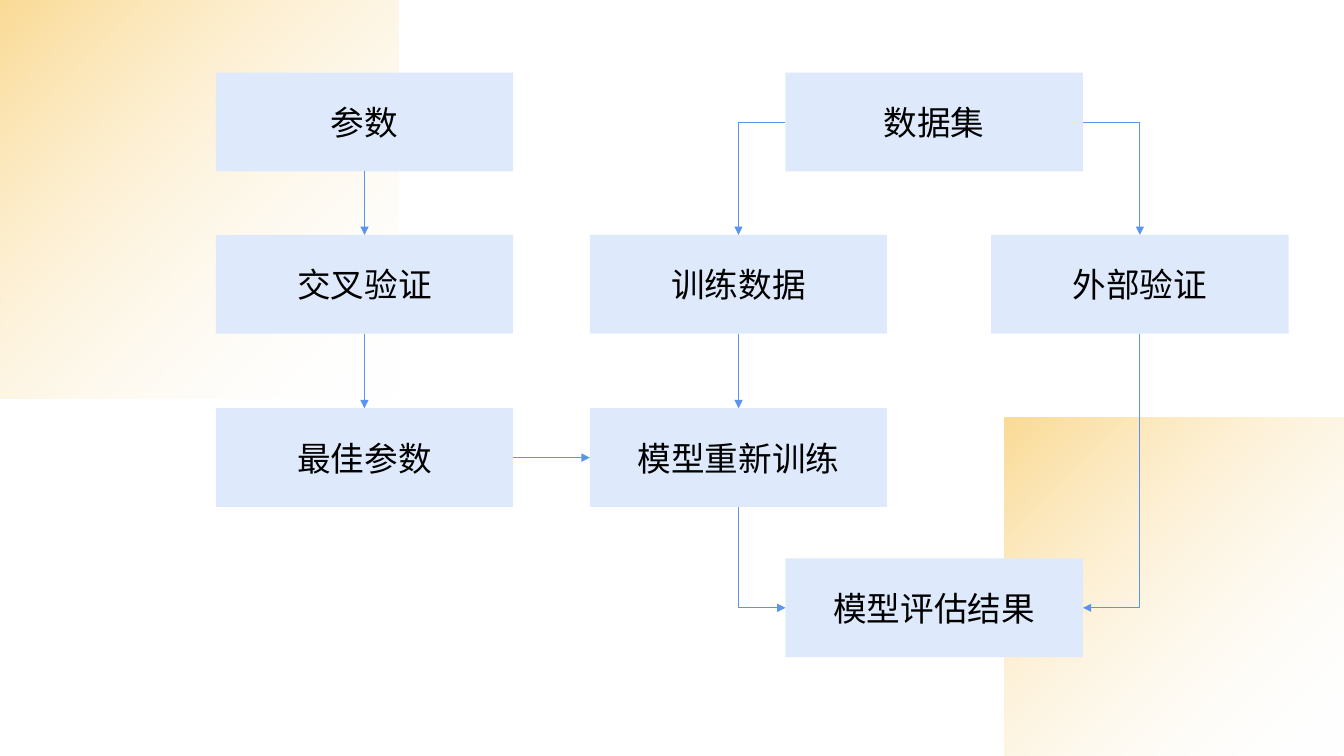
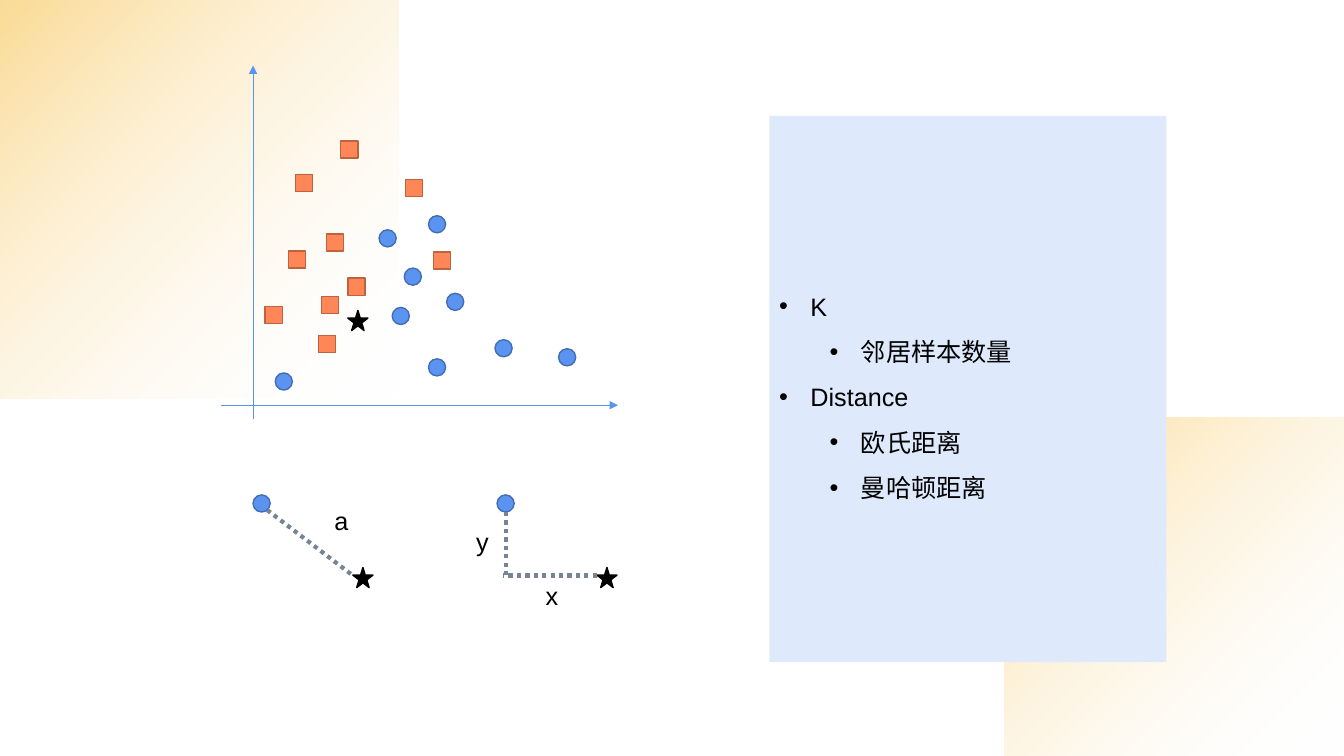
from typing import NamedTuple

from lxml import etree
from pptx import Presentation
from pptx import util as u
from pptx.dml.color import RGBColor
from pptx.enum import dml, shapes, text
from pptx.oxml import ns, parse_xml

LATIN, CJK = "Arial", "Noto Sans CJK SC"
BLACK, WHITE, GOLD = "000000", "FFFFFF", "F7B629"
BLUE, PALE_BLUE, DARK_BLUE = "5A94F0", "DEEAFC", "436DB2"
ORANGE, DARK_ORANGE, GREY = "FF8657", "BD6340", "778495"
TOP, LEFT, BOTTOM, RIGHT = range(4)
SHAPE = shapes.MSO_SHAPE


class Box(NamedTuple):
    label: str
    left: float
    top: float


class Link(NamedTuple):
    source: str
    source_side: int
    target: str
    target_side: int


class Marker(NamedTuple):
    kind: SHAPE
    size: float
    fill: str
    line: str


class Label(NamedTuple):
    letter: str
    left: float
    top: float


class Bullet(NamedTuple):
    words: str
    level: int


BOX_WIDTH, BOX_HEIGHT = 2.95, 0.98
ROWS = (0.72, 2.33, 4.05, 5.54)
BOXES = (
    Box("参数", 2.14, ROWS[0]),
    Box("交叉验证", 2.14, ROWS[1]),
    Box("模型评估结果", 7.79, ROWS[3]),
    Box("最佳参数", 2.14, ROWS[2]),
    Box("模型重新训练", 5.85, ROWS[2]),
    Box("训练数据", 5.85, ROWS[1]),
    Box("数据集", 7.79, ROWS[0]),
    Box("外部验证", 9.83, ROWS[1]),
)
LINKS = (
    Link("参数", BOTTOM, "交叉验证", TOP),
    Link("交叉验证", BOTTOM, "最佳参数", TOP),
    Link("最佳参数", RIGHT, "模型重新训练", LEFT),
    Link("训练数据", BOTTOM, "模型重新训练", TOP),
    Link("数据集", LEFT, "训练数据", TOP),
    Link("数据集", RIGHT, "外部验证", TOP),
    Link("模型重新训练", BOTTOM, "模型评估结果", LEFT),
    Link("外部验证", BOTTOM, "模型评估结果", RIGHT),
)

CIRCLE = Marker(SHAPE.OVAL, 0.17, BLUE, DARK_BLUE)
SQUARE = Marker(SHAPE.RECTANGLE, 0.17, ORANGE, DARK_ORANGE)
STAR = Marker(SHAPE.STAR_5_POINT, 0.2, BLACK, BLACK)
SCATTER = {
    STAR: ((3.45, 3.08),),
    CIRCLE: ((3.89, 3.05), (4.43, 2.91), (4.25, 3.56), (2.73, 3.7), (5.54, 3.46),
             (3.76, 2.28), (4.91, 3.37), (4.01, 2.66), (4.25, 2.14)),
    SQUARE: ((3.16, 3.33), (3.45, 2.76), (4.3, 2.5), (2.86, 2.49), (2.63, 3.04),
             (2.93, 1.73), (3.19, 2.94), (4.02, 1.78), (3.24, 2.32), (3.38, 1.4)),
}
AXES = ((2.19, 4.02, 6.13, 4.02), (2.51, 4.16, 2.51, 0.65))
DISTANCES = {
    2.51: ((2.65, 5.06, 3.5, 5.71),),
    4.93: ((5.02, 5.08, 5.02, 5.71), (5.92, 5.71, 4.99, 5.71)),
}
LABELS = (Label("a", 3.19, 4.97), Label("x", 5.28, 5.71), Label("y", 4.59, 5.18))
BULLETS = (
    Bullet("K", 0),
    Bullet("邻居样本数量", 1),
    Bullet("Distance", 0),
    Bullet("欧氏距离", 1),
    Bullet("曼哈顿距离", 1),
)


def rgb(value: str) -> RGBColor:
    return RGBColor.from_string(value)


def add_shape(container, kind: SHAPE, left: float, top: float, width: float,
              height: float, fill: str, line: str | None = None):
    shape = container.add_shape(kind, *map(u.Inches, (left, top, width, height)))
    shape.shadow.inherit = False
    shape.fill.solid()
    shape.fill.fore_color.rgb = rgb(fill)
    if line:
        shape.line.color.rgb = rgb(line)
        shape.line.width = u.Pt(1)
    else:
        shape.line.fill.background()
    return shape


def add_marker(container, marker: Marker, left: float, top: float) -> None:
    add_shape(container, marker.kind, left, top, marker.size, marker.size,
              marker.fill, marker.line)


def style_paragraph(paragraph, size: int, font: str,
                    alignment=text.PP_ALIGN.CENTER) -> None:
    """Set one black font on the paragraph, with the CJK face for East Asian text."""
    paragraph.alignment = alignment
    paragraph.font.size = u.Pt(size)
    paragraph.font.color.rgb = rgb(BLACK)
    paragraph.font.name = font
    properties = paragraph._p.pPr.find(ns.qn("a:defRPr"))
    etree.SubElement(properties, ns.qn("a:ea"), typeface=CJK)


def style_line(connector, color: str, width: float) -> None:
    connector.line.color.rgb = rgb(color)
    connector.line.width = u.Pt(width)
    etree.SubElement(connector.element.spPr, ns.qn("a:effectLst"))


def style_arrow(connector) -> None:
    style_line(connector, BLUE, 0.5)
    line = connector.element.spPr.find(ns.qn("a:ln"))
    etree.SubElement(line, ns.qn("a:tailEnd"), type="triangle")


def add_line(container, ends: tuple[float, ...]):
    return container.add_connector(shapes.MSO_CONNECTOR.STRAIGHT, *map(u.Inches, ends))


def make_corner(connector, vertical_first: bool) -> None:
    """Give an elbow one corner; one that starts downwards is turned on its centre."""
    properties = connector.element.spPr
    properties.find(ns.qn("a:prstGeom")).set("prst", "bentConnector2")
    if not vertical_first:
        return
    goes_right = connector.end_x > connector.begin_x
    width, height = connector.width, connector.height
    connector.left += (width - height) // 2
    connector.top += (height - width) // 2
    connector.width, connector.height = height, width
    transform = properties.find(ns.qn("a:xfrm"))
    transform.set("rot", str((270 if goes_right else 90) * 60000))
    transform.set("flipH", "1" if goes_right else "0")


def add_link(slide, link: Link, boxes: dict) -> None:
    bent = (link.source_side + link.target_side) % 2 == 1
    kind = shapes.MSO_CONNECTOR.ELBOW if bent else shapes.MSO_CONNECTOR.STRAIGHT
    connector = slide.shapes.add_connector(kind, 0, 0, 0, 0)
    connector.begin_connect(boxes[link.source], link.source_side)
    connector.end_connect(boxes[link.target], link.target_side)
    if bent:
        make_corner(connector, link.source_side == BOTTOM)
    style_arrow(connector)


def add_corner_glows(presentation, slide) -> None:
    """Put the two fading squares on the master, behind everything else."""
    tree = presentation.slide_master.shapes.element
    for index, (left, top, size) in enumerate(((0, 0, 3.95), (9.96, 4.14, 3.37))):
        glow = add_shape(slide.shapes, SHAPE.RECTANGLE, left, top, size, size, GOLD)
        properties = glow.element.spPr
        gradient = parse_xml(
            f'<a:gradFill {ns.nsdecls("a")} rotWithShape="0"><a:gsLst>'
            f'<a:gs pos="0"><a:srgbClr val="{GOLD}"><a:alpha val="50000"/></a:srgbClr></a:gs>'
            f'<a:gs pos="100000"><a:srgbClr val="{WHITE}"><a:alpha val="0"/></a:srgbClr></a:gs>'
            '</a:gsLst><a:path path="circle"><a:fillToRect r="100000" b="100000"/></a:path>'
            '<a:tileRect l="-100000" t="-100000"/></a:gradFill>')
        properties.replace(properties.find(ns.qn("a:solidFill")), gradient)
        glow.element.nvSpPr.cNvPr.set("id", str(101 + index))
        tree.insert(2 + index, glow.element)


def build_workflow(slide) -> None:
    boxes = {}
    for box in BOXES:
        shape = add_shape(slide.shapes, SHAPE.RECTANGLE, box.left, box.top,
                          BOX_WIDTH, BOX_HEIGHT, PALE_BLUE)
        shape.text_frame.text = box.label
        style_paragraph(shape.text_frame.paragraphs[0], 24, CJK)
        boxes[box.label] = shape
    for link in LINKS:
        add_link(slide, link, boxes)


def add_scatter(slide) -> None:
    group = slide.shapes.add_group_shape().shapes
    for ends in AXES:
        style_arrow(add_line(group, ends))
    for marker, places in SCATTER.items():
        for left, top in places:
            add_marker(group, marker, left, top)


def add_distance(slide, left: float, segments: tuple) -> None:
    group = slide.shapes.add_group_shape().shapes
    add_marker(group, CIRCLE, left, 4.91)
    add_marker(group, STAR, left + 0.99, 5.63)
    for ends in segments:
        line = add_line(group, ends)
        style_line(line, GREY, 3)
        line.line.dash_style = dml.MSO_LINE.ROUND_DOT


def add_bullet_panel(slide) -> None:
    panel = add_shape(slide.shapes, SHAPE.RECTANGLE, 7.63, 1.15, 3.94, 5.42, PALE_BLUE)
    frame = panel.text_frame
    frame.text = "\n".join(bullet.words for bullet in BULLETS)
    for paragraph, bullet in zip(frame.paragraphs, BULLETS):
        paragraph.level = bullet.level
        paragraph.line_spacing = 1.5
        properties = paragraph._p.get_or_add_pPr()
        properties.set("marL", str(u.Inches(0.31 + 0.5 * bullet.level)))
        properties.set("indent", str(u.Inches(-0.31)))
        etree.SubElement(properties, ns.qn("a:buFont"), typeface=LATIN)
        etree.SubElement(properties, ns.qn("a:buChar"), char="•")
        style_paragraph(paragraph, 18, LATIN, text.PP_ALIGN.LEFT)


def add_label(slide, label: Label) -> None:
    places = (label.left, label.top, 0.39, 0.39)
    frame = slide.shapes.add_textbox(*map(u.Inches, places)).text_frame
    frame.word_wrap = True
    frame.vertical_anchor = text.MSO_ANCHOR.MIDDLE
    frame.text = label.letter
    style_paragraph(frame.paragraphs[0], 18, LATIN)


def build_neighbours(slide) -> None:
    add_scatter(slide)
    add_bullet_panel(slide)
    for left, segments in DISTANCES.items():
        add_distance(slide, left, segments)
    for label in LABELS:
        add_label(slide, label)


def main() -> None:
    presentation = Presentation()
    presentation.slide_width = u.Inches(13.33)
    presentation.slide_height = u.Inches(7.5)
    blank = presentation.slide_layouts[6]
    workflow, neighbours = (presentation.slides.add_slide(blank) for _ in range(2))
    add_corner_glows(presentation, workflow)
    build_workflow(workflow)
    build_neighbours(neighbours)
    presentation.save("out.pptx")


if __name__ == "__main__":
    main()
